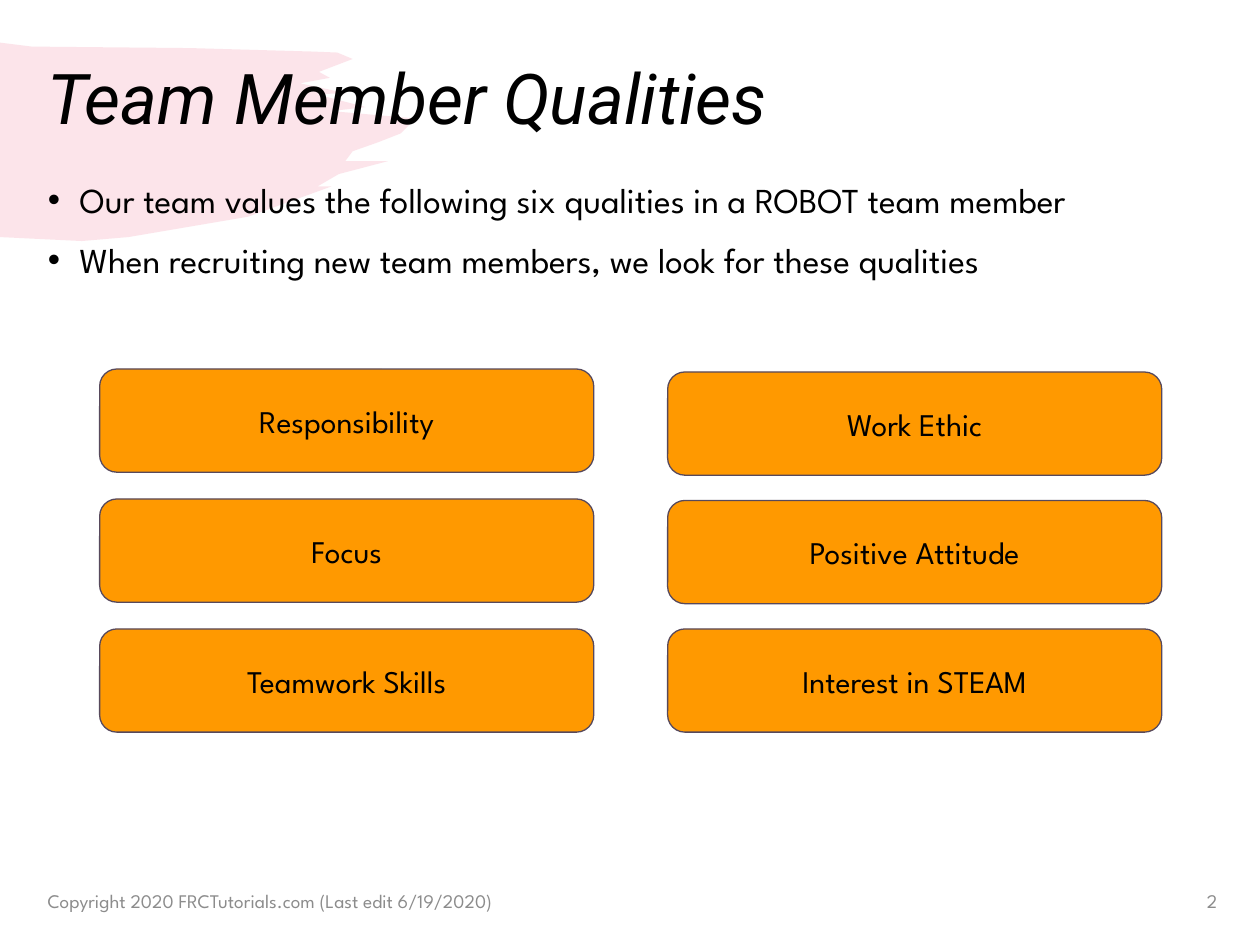
from dataclasses import dataclass

from lxml.etree import SubElement
from pptx import Presentation
from pptx.dml.color import RGBColor
from pptx.enum.shapes import MSO_SHAPE
from pptx.enum.text import MSO_ANCHOR, MSO_AUTO_SIZE, PP_ALIGN
from pptx.oxml.ns import qn
from pptx.util import Cm, Pt


@dataclass(frozen=True)
class Theme:
    ink: str = "000000"
    grey: str = "8C8C8C"
    card: str = "FF9900"
    edge: str = "57495C"
    brush: str = "F07C98"
    head: str = "Roboto"
    text: str = "League Spartan"
    title: int = 40
    body: int = 20
    label: int = 18
    foot: int = 11


# Corners of the brush stroke, in cm
BRUSH = [
    (0, 0.86), (0.64, 0.94), (3.83, 0.97), (6.3, 1.04), (6.8, 1.06), (7.11, 1.19),
    (6.43, 1.45), (6.65, 1.57), (6.05, 1.68), (6.98, 1.88), (6.38, 1.9), (7.37, 2.16),
    (6.68, 2.24), (8.38, 2.39), (8.08, 2.69), (7.62, 2.87), (7.11, 3.05), (6.96, 3.25),
    (7.82, 3.25), (6.83, 3.51), (6.4, 3.76), (6.68, 3.76), (5, 4.37), (2.59, 4.78),
    (1.65, 4.86), (0, 4.78),
]


class Deck:
    def __init__(self, theme):
        self.theme = theme
        self.file = Presentation()
        self.file.slide_width, self.file.slide_height = Cm(25.4), Cm(19.05)
        self.slide = self.file.slides.add_slide(self.file.slide_layouts[1])
        self.shapes = self.slide.shapes

    def place(self, shape, *box):
        for name, size in zip(("left", "top", "width", "height"), box):
            setattr(shape, name, Cm(size))

    def style(self, para, size, color, face=None, align=PP_ALIGN.LEFT, **more):
        para.alignment = align
        look = {"name": face or self.theme.text, "size": Pt(size), **more}
        for run in para.runs:
            for key, value in look.items():
                setattr(run.font, key, value)
            run.font.color.rgb = RGBColor.from_string(color)

    def frame(self, shape, anchor=MSO_ANCHOR.MIDDLE):
        look = {"word_wrap": True, "auto_size": MSO_AUTO_SIZE.NONE, "vertical_anchor": anchor}
        for key, value in look.items():
            setattr(shape.text_frame, key, value)
        return shape.text_frame

    def title(self, text, *box):
        shape = self.shapes.title
        self.place(shape, *box)
        para = self.frame(shape).paragraphs[0]
        para.text = text
        para.line_spacing = 0.9
        self.style(para, self.theme.title, self.theme.ink, self.theme.head, italic=True)

    def bullets(self, lines, *box):
        shape = self.slide.placeholders[1]
        self.place(shape, *box)
        frame = self.frame(shape, MSO_ANCHOR.TOP)
        for i, line in enumerate(lines):
            para = frame.add_paragraph() if i else frame.paragraphs[0]
            para.text = line
            props = para._p.get_or_add_pPr()
            props.set("marL", str(Cm(0.64)))
            props.set("indent", str(Cm(-0.64)))
            SubElement(props, qn("a:buFont"), typeface="Arial")
            SubElement(props, qn("a:buChar"), char="•")
            para.space_before = Pt(10 if i else 0)
            self.style(para, self.theme.body, self.theme.ink)

    def brush(self, dots):
        first, *rest = [(Cm(x), Cm(y)) for x, y in dots]
        pen = self.shapes.build_freeform(*first)
        pen.add_line_segments(rest, close=True)
        shape = pen.convert_to_shape()
        shape.shadow.inherit = False
        shape.line.fill.background()
        shape.fill.solid()
        shape.fill.fore_color.rgb = RGBColor.from_string(self.theme.brush)
        color = shape._element.spPr.find(qn("a:solidFill"))[0]
        SubElement(color, qn("a:alpha"), val="20000")
        # Send behind the title
        self.shapes.title._element.addprevious(shape._element)

    def card(self, text, *box):
        shape = self.shapes.add_shape(MSO_SHAPE.ROUNDED_RECTANGLE, *map(Cm, box))
        shape.shadow.inherit = False
        shape.fill.solid()
        shape.fill.fore_color.rgb = RGBColor.from_string(self.theme.card)
        shape.line.color.rgb = RGBColor.from_string(self.theme.edge)
        shape.line.width = Pt(0.75)
        frame = self.frame(shape)
        for side in ("left", "top", "right", "bottom"):
            setattr(frame, f"margin_{side}", Cm(0.25))
        frame.text = text
        self.style(frame.paragraphs[0], self.theme.label, self.theme.ink, align=PP_ALIGN.CENTER)

    def note(self, text, align, *box):
        frame = self.frame(self.shapes.add_textbox(*map(Cm, box)))
        frame.text = text
        self.style(frame.paragraphs[0], self.theme.foot, self.theme.grey, align=align)


def main():
    deck = Deck(Theme())

    # Heading and list
    deck.brush(BRUSH)
    deck.title("Team Member Qualities", 0.71, 1.02, 24.05, 2.06)
    deck.bullets([
        "Our team values the following six qualities in a ROBOT team member",
        "When recruiting new team members, we look for these qualities",
    ], 0.71, 3.48, 24.05, 13.97)

    # Two columns of cards: left, top, step, labels
    columns = [
        (2.01, 7.44, 2.62, ["Responsibility", "Focus", "Teamwork Skills"]),
        (13.46, 7.5, 2.59, ["Work Ethic", "Positive Attitude", "Interest in STEAM"]),
    ]
    for left, top, step, labels in columns:
        for row, label in enumerate(labels):
            deck.card(label, left, top + row * step, 9.96, 2.08)

    # Footer
    deck.note("Copyright 2020 FRCTutorials.com (Last edit 6/19/2020)",
              PP_ALIGN.LEFT, 0.71, 17.65, 11.43, 1.02)
    deck.note("2", PP_ALIGN.RIGHT, 23.34, 17.65, 1.45, 1.02)

    deck.file.save("out.pptx")


if __name__ == "__main__":
    main()
